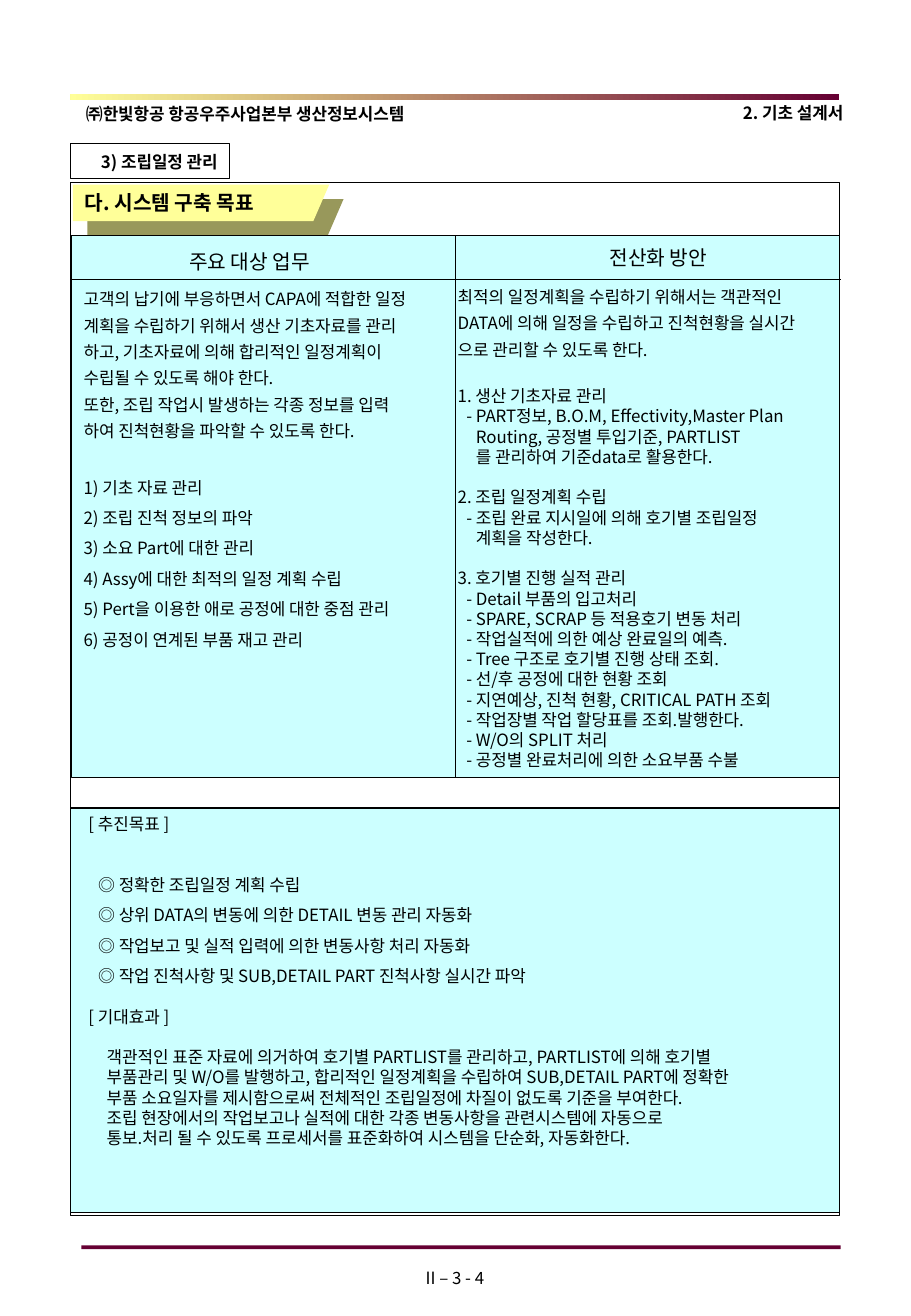
from lxml import etree
from pptx import Presentation
from pptx.dml.color import RGBColor
from pptx.enum.shapes import MSO_CONNECTOR, MSO_SHAPE
from pptx.enum.text import MSO_ANCHOR, PP_ALIGN
from pptx.oxml.ns import qn
from pptx.util import Inches, Pt

LEFT, MID, RIGHT = PP_ALIGN.LEFT, PP_ALIGN.CENTER, PP_ALIGN.RIGHT
RECT, LINE, TOP = MSO_SHAPE.RECTANGLE, MSO_CONNECTOR.STRAIGHT, MSO_ANCHOR.TOP

# Theme: colours, font, type sizes and line pitches in points
THEME = dict(ink="000000", panel="CCFFFF", wine="660033", cream="FFFF99",
             shade="98985B", font="Noto Sans CJK KR", body=10, head=12,
             tight=12, bar=13.2, head_gap=14.4, prose=15.6, item=18)

# Content: blocks of (line pitch, space before, [(indent, text), ...])
TASKS = [
    ("prose", 0, [(0, t) for t in (
        "고객의 납기에 부응하면서 CAPA에 적합한 일정",
        "계획을 수립하기 위해서 생산 기초자료를 관리",
        "하고, 기초자료에 의해 합리적인 일정계획이",
        "수립될 수 있도록 해야 한다.",
        "또한, 조립 작업시 발생하는 각종 정보를 입력",
        "하여 진척현황을 파악할 수 있도록 한다.")]),
    ("item", 15.6, [(0, t) for t in (
        "1) 기초 자료 관리",
        "2) 조립 진척 정보의 파악",
        "3) 소요 Part에 대한 관리",
        "4) Assy에 대한 최적의 일정 계획 수립",
        "5) Pert을 이용한 애로 공정에 대한 중점 관리",
        "6) 공정이 연계된 부품 재고 관리")]),
]
DASH, CONT = 0.07, 0.15
PLANS = [
    ("prose", 0, [
        (0, "최적의 일정계획을 수립하기 위해서는 객관적인"),
        (0, "DATA에 의해 일정을 수립하고 진척현황을 실시간"),
        (0, "으로 관리할 수 있도록 한다.")]),
    ("tight", 15.6, [
        (0, "1. 생산 기초자료 관리"),
        (DASH, "- PART정보, B.O.M, Effectivity,Master Plan"),
        (CONT, "Routing, 공정별 투입기준, PARTLIST"),
        (CONT, "를 관리하여 기준data로 활용한다.")]),
    ("tight", 12, [
        (0, "2. 조립 일정계획 수립"),
        (DASH, "- 조립 완료 지시일에 의해 호기별 조립일정"),
        (CONT, "계획을 작성한다.")]),
    ("tight", 12, [(0, "3. 호기별 진행 실적 관리")] + [(DASH, t) for t in (
        "- Detail 부품의 입고처리",
        "- SPARE, SCRAP 등 적용호기 변동 처리",
        "- 작업실적에 의한 예상 완료일의 예측.",
        "- Tree 구조로 호기별 진행 상태 조회.",
        "- 선/후 공정에 대한 현황 조회",
        "- 지연예상, 진척 현황, CRITICAL PATH 조회",
        "- 작업장별 작업 할당표를 조회.발행한다.",
        "- W/O의 SPLIT 처리",
        "- 공정별 완료처리에 의한 소요부품 수불")]),
]
GOALS = [
    ("tight", 0, [(0, "[ 추진목표 ]")]),
    ("tight", 24, [(0.08, "◎ 정확한 조립일정 계획 수립")]),
    ("item", 0, [(0.08, t) for t in (
        "◎ 상위 DATA의 변동에 의한 DETAIL 변동 관리 자동화",
        "◎ 작업보고 및 실적 입력에 의한 변동사항 처리 자동화",
        "◎ 작업 진척사항 및 SUB,DETAIL PART 진척사항 실시간 파악")]),
    ("tight", 12, [(0, "[ 기대효과 ]")]),
    ("tight", 12, [(CONT, t) for t in (
        "객관적인 표준 자료에 의거하여 호기별 PARTLIST를 관리하고, PARTLIST에 의해 호기별",
        "부품관리 및 W/O를 발행하고, 합리적인 일정계획을 수립하여 SUB,DETAIL PART에 정확한",
        "부품 소요일자를 제시함으로써 전체적인 조립일정에 차질이 없도록 기준을 부여한다.",
        "조립 현장에서의 작업보고나 실적에 대한 각종 변동사항을 관련시스템에 자동으로",
        "통보.처리 될 수 있도록 프로세서를 표준화하여 시스템을 단순화, 자동화한다.")]),
]
# Single lines: text, place, format
LABELS = [
    ("㈜한빛항공 항공우주사업본부 생산정보시스템", (0.61, 0.79, 3.6, 0.29),
     dict(bold=True, pitch="bar")),
    ("2. 기초 설계서", (5.04, 0.78, 2, 0.29),
     dict(bold=True, pitch="bar", align=RIGHT)),
    ("3) 조립일정 관리", (0.58, 1.18, 1.31, 0.29),
     dict(bold=True, pitch="bar", align=RIGHT)),
    ("II – 3 - 4", (2.94, 10.38, 1.61, 0.27), dict(align=MID)),
    ("주요 대상 업무", (1.46, 2, 1.8, 0.3), dict(size="head", pitch="head_gap")),
    ("전산화 방안", (4.92, 1.97, 1.6, 0.3), dict(size="head", pitch="head_gap")),
    ("다. 시스템 구축 목표", (0.6, 1.52, 1.94, 0.3),
     dict(size="head", pitch="head_gap", bold=True)),
]

deck = Presentation()
deck.slide_width, deck.slide_height = Inches(7.5), Inches(10.83)
slide = deck.slides.add_slide(deck.slide_layouts[6])
shapes = slide.shapes


def tint(name):
    return RGBColor.from_string(THEME[name])


def box(place, fill=None, line=None):
    part = shapes.add_shape(RECT, *map(Inches, place))
    part.shadow.inherit = False
    if fill:
        part.fill.solid()
        part.fill.fore_color.rgb = tint(fill)
    else:
        part.fill.background()
    if line:
        part.line.color.rgb = tint("ink")
        part.line.width = Pt(line)
    else:
        part.line.fill.background()
    return part


def rule(x1, y1, x2, y2):
    part = shapes.add_connector(LINE, *map(Inches, (x1, y1, x2, y2)))
    part.line.color.rgb = tint("ink")
    part.line.width = Pt(0.75)
    etree.SubElement(part._element.spPr, qn("a:effectLst"))


def write(text, place, size="body", pitch="tight", bold=False, align=LEFT):
    """Write one line, or a list of blocks, in a text box."""
    blocks = [(pitch, 0, [(0, text)])] if isinstance(text, str) else text
    frame = shapes.add_textbox(*map(Inches, place)).text_frame
    frame.word_wrap, frame.vertical_anchor = True, TOP
    para = None
    for step, gap, lines in blocks:
        for i, (dent, words) in enumerate(lines):
            para = frame.add_paragraph() if para else frame.paragraphs[0]
            para.alignment, para.line_spacing = align, Pt(THEME[step])
            para.space_before = Pt(0 if i else gap)
            para._p.get_or_add_pPr().set("marL", str(Inches(dent)))
            run = para.add_run()
            run.text = words
            font = run.font
            font.name, font.size = THEME["font"], Pt(THEME[size])
            font.bold, font.color.rgb = bold, tint("ink")
            east = etree.SubElement(run._r.get_or_add_rPr(), qn("a:ea"))
            east.set("typeface", THEME["font"])


# Page frame and bars
box((0.58, 1.5, 6.33, 8.5), line=0.25)
bar = box((0.58, 0.77, 6.33, 0.05), "wine")
bar.fill.gradient()
bar.fill.gradient_angle = 180
for stop, name in zip(bar.fill.gradient_stops, ("wine", "cream")):
    stop.color.rgb, = (tint(name),)
for stop, spot in zip(bar.fill.gradient_stops, (0, 1)):
    stop.position = spot
box((0.67, 10.25, 6.25, 0.03), "wine")
box((0.58, 1.18, 1.31, 0.29), line=0.75)

# Title tab with its cast shadow
pen = shapes.build_freeform(Inches(0.6), Inches(1.82))
pen.add_line_segments([(Inches(x), Inches(y)) for x, y in
                       ((0.6, 1.52), (2.71, 1.52), (2.58, 1.82))])
tab = pen.convert_to_shape()
tab.fill.solid()
tab.fill.fore_color.rgb = tint("cream")
tab.line.fill.background()
cast = etree.SubElement(etree.SubElement(tab._element.spPr, qn("a:effectLst")),
                        qn("a:outerShdw"), dist=str(Pt(12.1)), dir="2700000",
                        algn="ctr", rotWithShape="0")
etree.SubElement(cast, qn("a:srgbClr"), val=THEME["shade"])

# Two-column panel and goal panel
box((0.59, 1.94, 6.32, 4.46), "panel", 0.75)
rule(0.58, 2.3, 6.92, 2.3)
rule(3.75, 1.94, 3.75, 6.4)
box((0.58, 6.65, 6.33, 3.33), "panel", 0.75)

# Text
for text, place, form in LABELS:
    write(text, place, **form)
write(TASKS, (0.59, 2.28, 3.33, 3.12))
write(PLANS, (3.67, 2.26, 3.35, 4.31))
write(GOALS, (0.63, 6.65, 6.29, 2.86))

deck.save("out.pptx")
